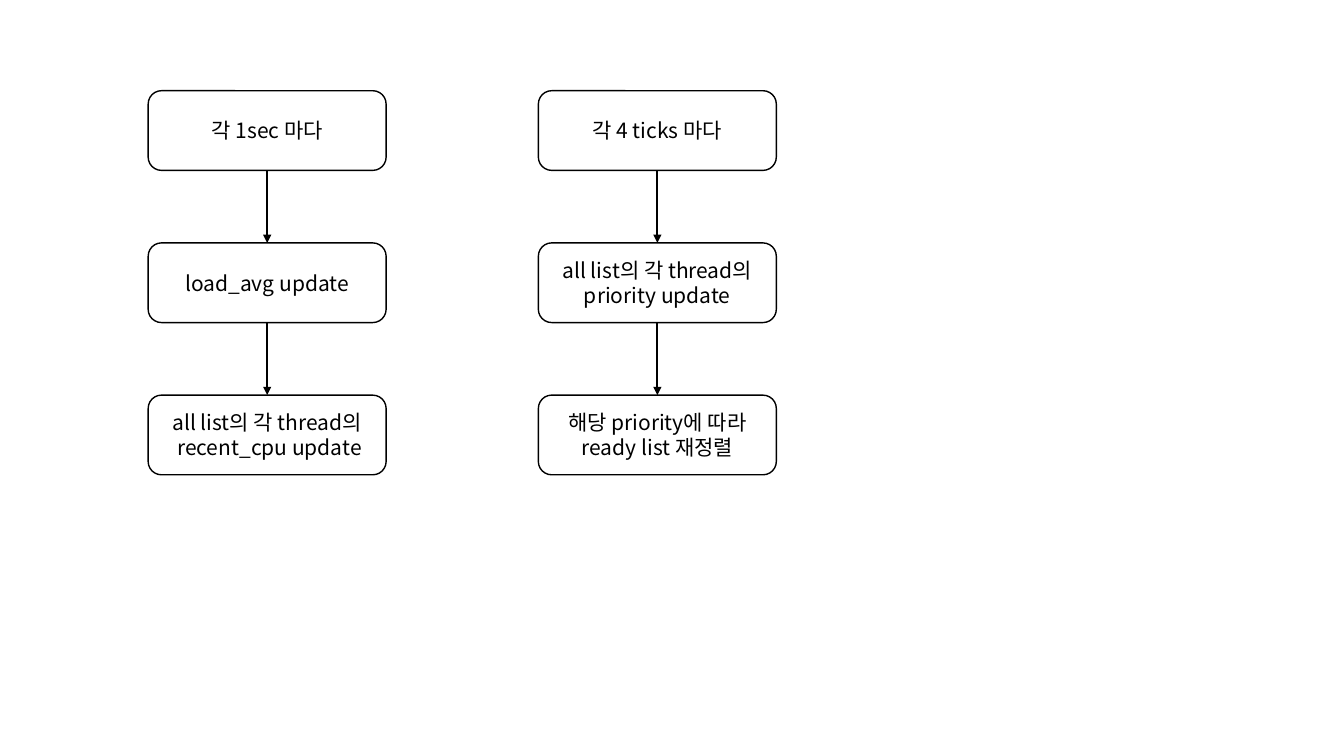
from dataclasses import dataclass

from lxml.etree import SubElement
from pptx import Presentation
from pptx.dml.color import RGBColor
from pptx.enum.shapes import MSO_CONNECTOR, MSO_SHAPE
from pptx.enum.text import MSO_ANCHOR, PP_ALIGN
from pptx.oxml.ns import qn
from pptx.slide import Slide
from pptx.util import Inches, Pt

FONT = "Noto Sans CJK KR"
BLACK, WHITE = "000000", "FFFFFF"
LEFT, TOP = 1.47, 0.9
COL_STEP, ROW_STEP = 3.87, 1.51
BOX_W, BOX_H = 2.36, 0.79


@dataclass
class Step:
    col: int
    row: int
    text: str

    @property
    def left(self) -> float:
        return LEFT + self.col * COL_STEP

    @property
    def top(self) -> float:
        return TOP + self.row * ROW_STEP


FLOWS = [
    ["각 1sec 마다", "load_avg update", "all list의 각 thread의\n recent_cpu update"],
    ["각 4 ticks 마다", "all list의 각 thread의 priority update",
     "해당 priority에 따라 ready list 재정렬"],
]


def rgb(value: str) -> RGBColor:
    return RGBColor.from_string(value)


def add_step(s: Slide, step: Step) -> None:
    sp = s.shapes.add_shape(MSO_SHAPE.ROUNDED_RECTANGLE, Inches(step.left),
                            Inches(step.top), Inches(BOX_W), Inches(BOX_H))
    sp.shadow.inherit = False
    sp.fill.solid()
    sp.fill.fore_color.rgb = rgb(WHITE)
    sp.line.color.rgb = rgb(BLACK)
    sp.line.width = Pt(1)
    tf = sp.text_frame
    tf.word_wrap = True
    tf.vertical_anchor = MSO_ANCHOR.MIDDLE
    tf.text = step.text
    for p in tf.paragraphs:
        p.alignment = PP_ALIGN.CENTER
        for r in p.runs:
            r.font.size = Pt(15)
            r.font.name = FONT
            r.font.color.rgb = rgb(BLACK)
            SubElement(r.font._element, qn("a:ea"), typeface=FONT)


def add_arrow(s: Slide, step: Step) -> None:
    """Draw the arrow from this step down to the next row."""
    x = Inches(step.left + BOX_W / 2)
    line = s.shapes.add_connector(MSO_CONNECTOR.STRAIGHT, x, Inches(step.top + BOX_H),
                                  x, Inches(step.top + ROW_STEP))
    line.line.color.rgb = rgb(BLACK)
    line.line.width = Pt(1.5)
    SubElement(line.line._get_or_add_ln(), qn("a:tailEnd"), type="triangle")
    SubElement(line._element.spPr, qn("a:effectLst"))


def main() -> None:
    prs = Presentation()
    prs.slide_width, prs.slide_height = Inches(13.33), Inches(7.5)
    s = prs.slides.add_slide(prs.slide_layouts[6])
    for col, texts in enumerate(FLOWS):
        for row, text in enumerate(texts):
            step = Step(col, row, text)
            add_step(s, step)
            if row < len(texts) - 1:
                add_arrow(s, step)
    prs.save("out.pptx")


if __name__ == "__main__":
    main()
